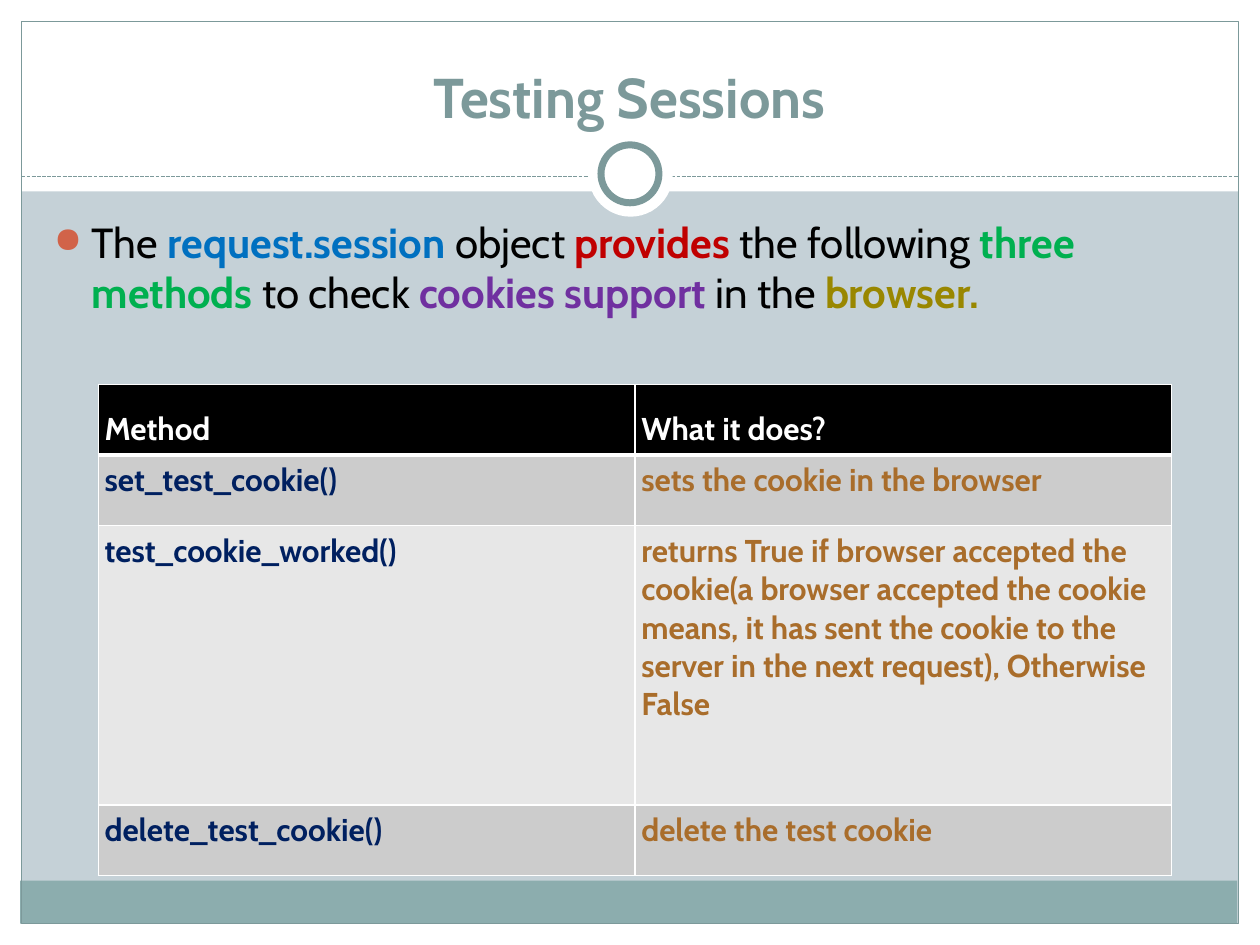
from typing import NamedTuple, Optional

from lxml import etree
from pptx import Presentation
from pptx.dml.color import RGBColor
from pptx.enum import dml, shapes, text
from pptx.oxml import parse_xml
from pptx.oxml.ns import nsdecls, qn
from pptx.util import Inches, Pt

FONT = "Cabin"
COLORS = {
    "back": "C5D1D7", "white": "FFFFFF", "black": "000000", "band": "8CADAE",
    "teal": "7C999A", "bullet": "D16349", "blue": "0070C0", "red": "C00000",
    "green": "00B050", "purple": "7030A0", "olive": "998700", "navy": "002060",
    "brown": "A96D2B", "gray": "CCCCCC", "pale": "E7E7E7",
}
RECT, OVAL = shapes.MSO_SHAPE.RECTANGLE, shapes.MSO_SHAPE.OVAL


class Panel(NamedTuple):
    kind: int
    left: float
    top: float
    width: float
    height: float
    fill: Optional[str] = "white"
    line_pt: float = 0


class Phrase(NamedTuple):
    words: str
    color: str = "black"


PANELS = [
    Panel(RECT, 0, 7.33, 10, 0.17),
    Panel(RECT, 0, 0, 10, 1.52),
    Panel(RECT, 0, 0, 0.17, 7.5),
    Panel(RECT, 9.83, 0, 0.17, 7.5),
    Panel(RECT, 0.16, 6.99, 9.66, 0.34, "band"),
    Panel(RECT, 0.17, 0.17, 9.66, 7.16, None, 0.75),
]
CIRCLES = [
    Panel(OVAL, 4.67, 1.05, 0.67, 0.67),
    Panel(OVAL, 4.77, 1.15, 0.46, 0.46, "white", 4),
]
PHRASES = [
    Phrase("The "), Phrase("request.session", "blue"), Phrase(" object "),
    Phrase("provides", "red"), Phrase(" the following "),
    Phrase("three methods ", "green"), Phrase("to check "),
    Phrase("cookies support ", "purple"), Phrase("in the "),
    Phrase("browser.", "olive"),
]
ROWS = [
    ("Method", "What it does?"),
    ("set_test_cookie()", "sets the cookie in the browser"),
    ("test_cookie_worked()",
     "returns True if browser accepted the cookie(a browser accepted the cookie "
     "means, it has sent the cookie to the server in the next request), "
     "Otherwise False"),
    ("delete_test_cookie()", "delete the test cookie"),
]
ROW_HEIGHTS = [0.56, 0.56, 2.22, 0.56]


def rgb(name: str) -> RGBColor:
    return RGBColor.from_string(COLORS[name])


def style_font(font, size: float, color: str, bold: bool) -> None:
    font.name, font.size, font.bold = FONT, Pt(size), bold
    font.color.rgb = rgb(color)


def draw_panel(slide, panel: Panel) -> None:
    box = map(Inches, (panel.left, panel.top, panel.width, panel.height))
    sp = slide.shapes.add_shape(panel.kind, *box)
    sp.shadow.inherit = False
    if panel.fill:
        sp.fill.solid()
        sp.fill.fore_color.rgb = rgb(panel.fill)
    else:
        sp.fill.background()
    if panel.line_pt:
        sp.line.color.rgb = rgb("teal")
        sp.line.width = Pt(panel.line_pt)
    else:
        sp.line.fill.background()


def draw_divider(slide) -> None:
    line = slide.shapes.add_connector(
        shapes.MSO_CONNECTOR.STRAIGHT,
        Inches(0.17), Inches(1.4), Inches(9.83), Inches(1.4))
    line.line.color.rgb = rgb("teal")
    line.line.width = Pt(0.75)
    line.line.dash_style = dml.MSO_LINE.SQUARE_DOT
    # the preset "sysDash" is the short dash
    line.line.dash_style = dml.MSO_LINE.SQUARE_DOT
    line.element.spPr.find(".//" + qn("a:prstDash")).set("val", "sysDash")
    etree.SubElement(line.element.spPr, qn("a:effectLst"))


def set_title(slide, words: str) -> None:
    title = slide.shapes.title
    title.left, title.top = Inches(0.33), Inches(0.25)
    title.width, title.height = Inches(9.33), Inches(0.83)
    tf = title.text_frame
    tf.text = words
    tf.vertical_anchor = text.MSO_ANCHOR.BOTTOM
    p = tf.paragraphs[0]
    p.alignment = text.PP_ALIGN.CENTER
    style_font(p.runs[0].font, 32, "teal", True)
    # bring the title in front of the white header
    title.element.getparent().append(title.element)


def draw_bullet(slide, phrases: list[Phrase]) -> None:
    sp = slide.shapes.add_textbox(
        Inches(0.33), Inches(1.67), Inches(9.3), Inches(1.2))
    tf = sp.text_frame
    tf.word_wrap = True
    p = tf.paragraphs[0]
    pPr = p._p.get_or_add_pPr()
    pPr.set("marL", str(Inches(0.3)))
    pPr.set("indent", str(-Inches(0.3)))
    color = etree.SubElement(pPr, qn("a:buClr"))
    etree.SubElement(color, qn("a:srgbClr"), val=COLORS["bullet"])
    etree.SubElement(pPr, qn("a:buSzPct"), val="85000")
    etree.SubElement(pPr, qn("a:buChar"), char="●")
    for phrase in phrases:
        r = p.add_run()
        r.text = phrase.words
        style_font(r.font, 24, phrase.color, phrase.color != "black")


def set_borders(cell, top_pt: float, bottom_pt: float) -> None:
    tcPr = cell._tc.get_or_add_tcPr()
    sides = (("lnL", 1), ("lnR", 1), ("lnT", top_pt), ("lnB", bottom_pt))
    for i, (side, width) in enumerate(sides):
        tcPr.insert(i, parse_xml(
            f'<a:{side} {nsdecls("a")} w="{Pt(width)}"><a:solidFill>'
            f'<a:srgbClr val="{COLORS["white"]}"/></a:solidFill></a:{side}>'))


def draw_table(slide) -> None:
    table = slide.shapes.add_table(
        len(ROWS), 2, Inches(0.78), Inches(3.05),
        Inches(8.52), Inches(sum(ROW_HEIGHTS))).table
    for row, height in zip(table.rows, ROW_HEIGHTS):
        row.height = Inches(height)
    for i, row in enumerate(ROWS):
        header = i == 0
        fill = "black" if header else ("pale", "gray")[i % 2]
        for j, words in enumerate(row):
            cell = table.cell(i, j)
            cell.text_frame.text = words
            cell.margin_left = cell.margin_right = Inches(0.05)
            cell.margin_top = cell.margin_bottom = Inches(0.05)
            cell.vertical_anchor = (
                text.MSO_ANCHOR.BOTTOM if header else text.MSO_ANCHOR.TOP)
            cell.fill.solid()
            cell.fill.fore_color.rgb = rgb(fill)
            color = "white" if header else ("navy", "brown")[j]
            style_font(cell.text_frame.paragraphs[0].runs[0].font, 18, color, True)
            set_borders(cell, 3 if i == 1 else 1, 3 if header else 1)


def main() -> None:
    prs = Presentation()
    prs.slide_width, prs.slide_height = Inches(10), Inches(7.5)
    slide = prs.slides.add_slide(prs.slide_layouts[5])
    slide.background.fill.solid()
    slide.background.fill.fore_color.rgb = rgb("back")

    # Frame, divider and ring
    for panel in PANELS:
        draw_panel(slide, panel)
    draw_divider(slide)
    for circle in CIRCLES:
        draw_panel(slide, circle)

    # Content
    draw_bullet(slide, PHRASES)
    set_title(slide, "Testing Sessions")
    draw_table(slide)
    prs.save("out.pptx")


if __name__ == "__main__":
    main()
